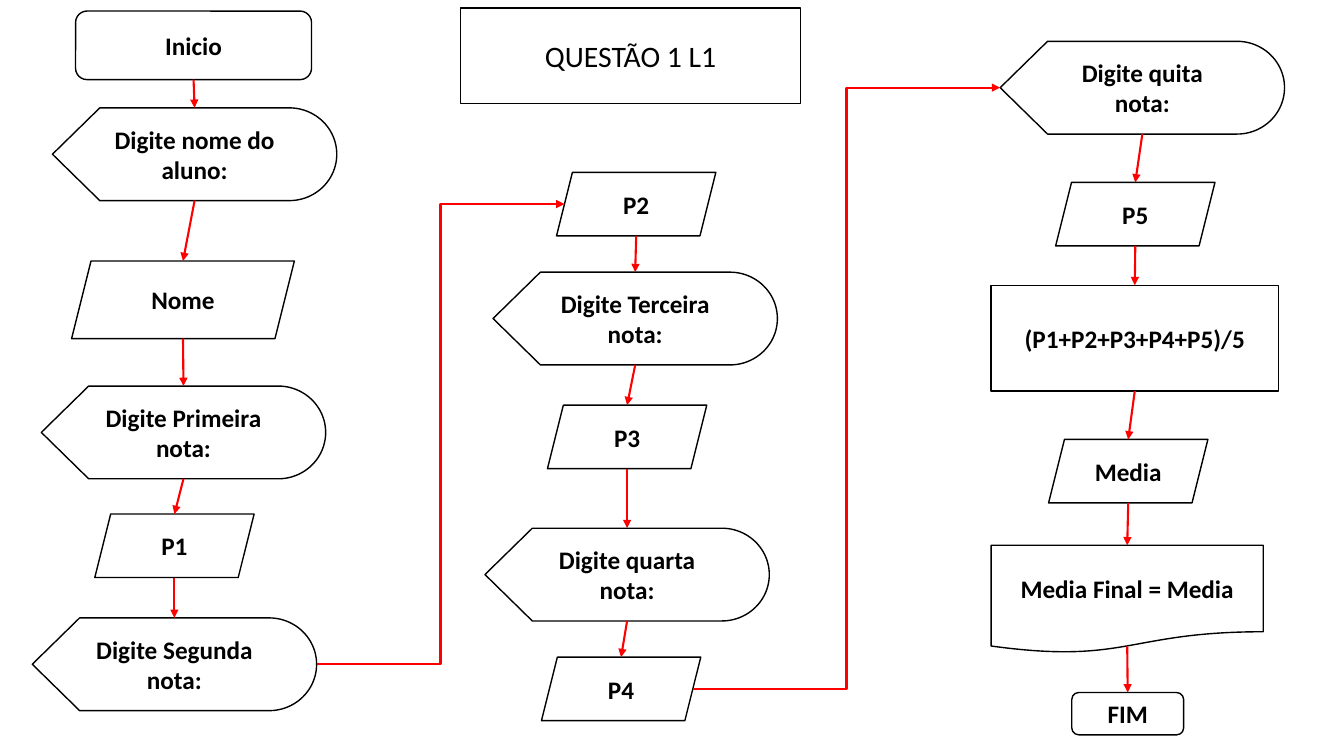
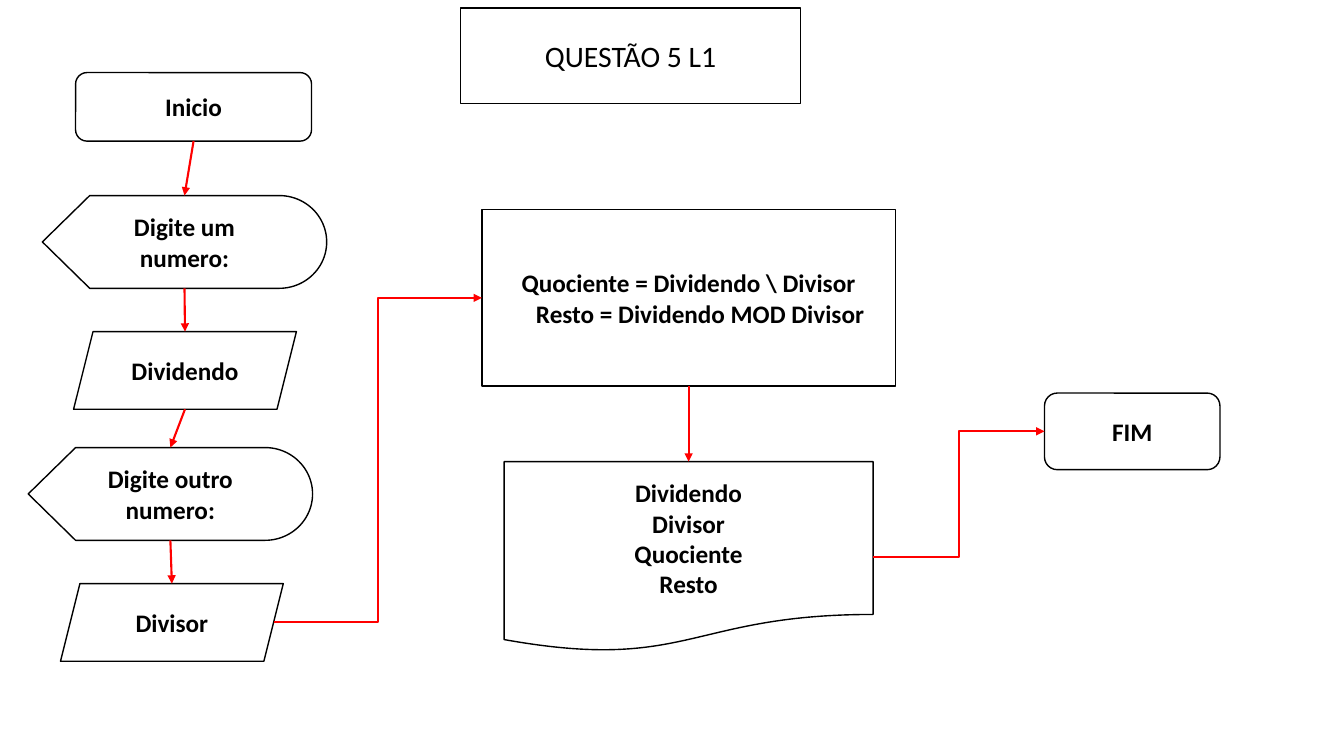
from collections import namedtuple

from lxml import etree
from pptx import Presentation
from pptx.dml.color import RGBColor
from pptx.enum.shapes import MSO_CONNECTOR as Link, MSO_SHAPE as Shape
from pptx.enum.text import MSO_ANCHOR, MSO_AUTO_SIZE, PP_ALIGN
from pptx.oxml import parse_xml
from pptx.oxml.ns import nsdecls, qn
from pptx.util import Inches, Pt

# Shared look
FONT = "Calibri"
INK, PAPER, FLOW = "000000", "FFFFFF", "FF0000"
TITLE_BOX = (4.57, 0.08, 3.37, 0.95)

# Symbols of the flowcharts: preset shape, width, height
Symbol = namedtuple("Symbol", "preset width height")
START = Symbol(Shape.ROUNDED_RECTANGLE, 2.34, 0.68)
PROMPT = Symbol(Shape.FLOWCHART_DISPLAY, 2.82, 0.92)
INPUT = Symbol(Shape.PARALLELOGRAM, 2.21, 0.77)
GRADE = Symbol(Shape.PARALLELOGRAM, 1.58, 0.63)
AVERAGE = Symbol(Shape.FLOWCHART_PROCESS, 2.85, 1.05)
AVERAGE_OUT = Symbol(Shape.FLOWCHART_DOCUMENT, 2.7, 1.07)
AVERAGE_END = Symbol(Shape.ROUNDED_RECTANGLE, 1.11, 0.42)
DIVISION = Symbol(Shape.FLOWCHART_PROCESS, 4.1, 1.75)
DIVISION_OUT = Symbol(Shape.FLOWCHART_DOCUMENT, 3.66, 1.89)
DIVISION_END = Symbol(Shape.ROUNDED_RECTANGLE, 1.74, 0.76)

# A step sits at dx, dy from the corner of its column; lines are (text, indent)
Step = namedtuple("Step", "symbol dx dy lines")
Column = namedtuple("Column", "left top steps")
Ports = namedtuple("Ports", "top left bottom right")


def step(symbol, dx, dy, *texts):
    lines = [text if isinstance(text, tuple) else (text, 0) for text in texts]
    return Step(symbol, dx, dy, lines)


GRADES_CHART = [
    Column(0.32, 0.11, [
        step(START, 0.43, 0, "Inicio"),
        step(PROMPT, 0.2, 0.96, "Digite nome do aluno:"),
        step(INPUT, 0.39, 2.48, "Nome"),
        step(PROMPT, 0.09, 3.72, "Digite Primeira nota:"),
        step(GRADE, 0.62, 4.99, "P1"),
        step(PROMPT, 0, 6.02, "Digite Segunda nota:"),
    ]),
    Column(4.81, 1.71, [
        step(GRADE, 0.71, 0, "P2"),
        step(PROMPT, 0.08, 0.99, "Digite Terceira nota:"),
        step(GRADE, 0.62, 2.31, "P3"),
        step(PROMPT, 0, 3.53, "Digite quarta nota:"),
        step(GRADE, 0.56, 4.81, "P4"),
    ]),
    Column(9.83, 0.41, [
        step(PROMPT, 0.09, 0, "Digite quita nota:"),
        step(GRADE, 0.64, 1.4, "P5"),
        step(AVERAGE, 0, 2.42, "(P1+P2+P3+P4+P5)/5"),
        step(GRADE, 0.57, 3.95, "Media"),
        step(AVERAGE_OUT, 0, 5, "Media Final = Media"),
        step(AVERAGE_END, 0.8, 6.46, "FIM"),
    ]),
]

DIVISION_CHART = [
    Column(0.28, 0.72, [
        step(START, 0.47, 0, "Inicio"),
        step(PROMPT, 0.14, 1.22, "Digite um numero:"),
        step(INPUT, 0.45, 2.57, "Dividendo"),
        step(PROMPT, 0, 3.72, "Digite outro numero:"),
        step(INPUT, 0.32, 5.07, "Divisor"),
    ]),
    Column(4.78, 2.08, [
        step(DIVISION, 0, 0, "Quociente = Dividendo \\ Divisor",
             ("Resto = Dividendo MOD Divisor", 0.23)),
        step(DIVISION_OUT, 0.22, 2.5,
             "Dividendo", "Divisor", "Quociente", "Resto"),
    ]),
    Column(10.36, 3.9, [step(DIVISION_END, 0, 0, "FIM")]),
]


def rgb(hex_color):
    return RGBColor.from_string(hex_color)


def outline(shape):
    shape.fill.solid()
    shape.fill.fore_color.rgb = rgb(PAPER)
    shape.line.color.rgb = rgb(INK)
    shape.line.width = Pt(1)


def write(shape, lines, size, bold):
    frame = shape.text_frame
    frame.word_wrap = True
    frame.auto_size = MSO_AUTO_SIZE.NONE
    frame.vertical_anchor = MSO_ANCHOR.MIDDLE
    for index, (text, indent) in enumerate(lines):
        paragraph = frame.add_paragraph() if index else frame.paragraphs[0]
        paragraph.alignment = PP_ALIGN.CENTER
        if indent:
            paragraph._p.get_or_add_pPr().set("marL", str(Inches(indent)))
        run = paragraph.add_run()
        run.text = text
        run.font.name = FONT
        run.font.size = Pt(size)
        run.font.bold = bold
        run.font.color.rgb = rgb(INK)


def add_title(slide, text, box):
    """Turn the title placeholder into a callout."""
    title = slide.shapes.title
    title.left, title.top, title.width, title.height = map(Inches, box)
    title._element.spPr.append(parse_xml(
        f'<a:prstGeom {nsdecls("a")} prst="wedgeRectCallout"><a:avLst>'
        '<a:gd name="adj1" fmla="val -19900"/>'
        '<a:gd name="adj2" fmla="val 85800"/>'
        '</a:avLst></a:prstGeom>'))
    outline(title)
    write(title, [(text, 0)], 21.2, False)


def add_arrow(slide, start, end, kind=Link.STRAIGHT):
    arrow = slide.shapes.add_connector(kind, *map(Inches, start + end))
    arrow.line.color.rgb = rgb(FLOW)
    arrow.line.width = Pt(1.5)
    etree.SubElement(arrow.line._get_or_add_ln(), qn("a:tailEnd"),
                     type="triangle")
    etree.SubElement(arrow._element.spPr, qn("a:effectLst"))


def add_step(slide, left, top, item):
    """Draw one symbol and return the points where arrows meet it."""
    preset, width, height = item.symbol
    shape = slide.shapes.add_shape(
        preset, *map(Inches, (left, top, width, height)))
    shape.shadow.inherit = False
    outline(shape)
    write(shape, item.lines, 18, True)

    # Slanted sides and the wavy foot lie inside the box
    slant = height / 8 if preset == Shape.PARALLELOGRAM else 0
    foot = 0.94 if preset == Shape.FLOWCHART_DOCUMENT else 1
    center, middle = left + width / 2, top + height / 2
    return Ports((center, top), (left + slant, middle),
                 (center, top + height * foot),
                 (left + width - slant, middle))


def add_column(slide, column):
    """Draw a column from top to bottom and return its end steps' ports."""
    ports = [add_step(slide, column.left + item.dx, column.top + item.dy, item)
             for item in column.steps]
    for upper, lower in zip(ports, ports[1:]):
        add_arrow(slide, upper.bottom, lower.top)
    return ports[0], ports[-1]


def add_flowchart(deck, title, columns):
    slide = deck.slides.add_slide(deck.slide_layouts[5])
    add_title(slide, title, TITLE_BOX)
    ends = [add_column(slide, column) for column in columns]
    # Elbows lead from the foot of a column to the head of the next
    for (_, last), (first, _) in zip(ends, ends[1:]):
        add_arrow(slide, last.right, first.left, Link.ELBOW)


def main():
    deck = Presentation()
    deck.slide_width, deck.slide_height = Inches(13.33), Inches(7.5)
    add_flowchart(deck, "QUESTÃO 1 L1", GRADES_CHART)
    add_flowchart(deck, "QUESTÃO 5 L1", DIVISION_CHART)
    deck.save("out.pptx")


if __name__ == "__main__":
    main()
